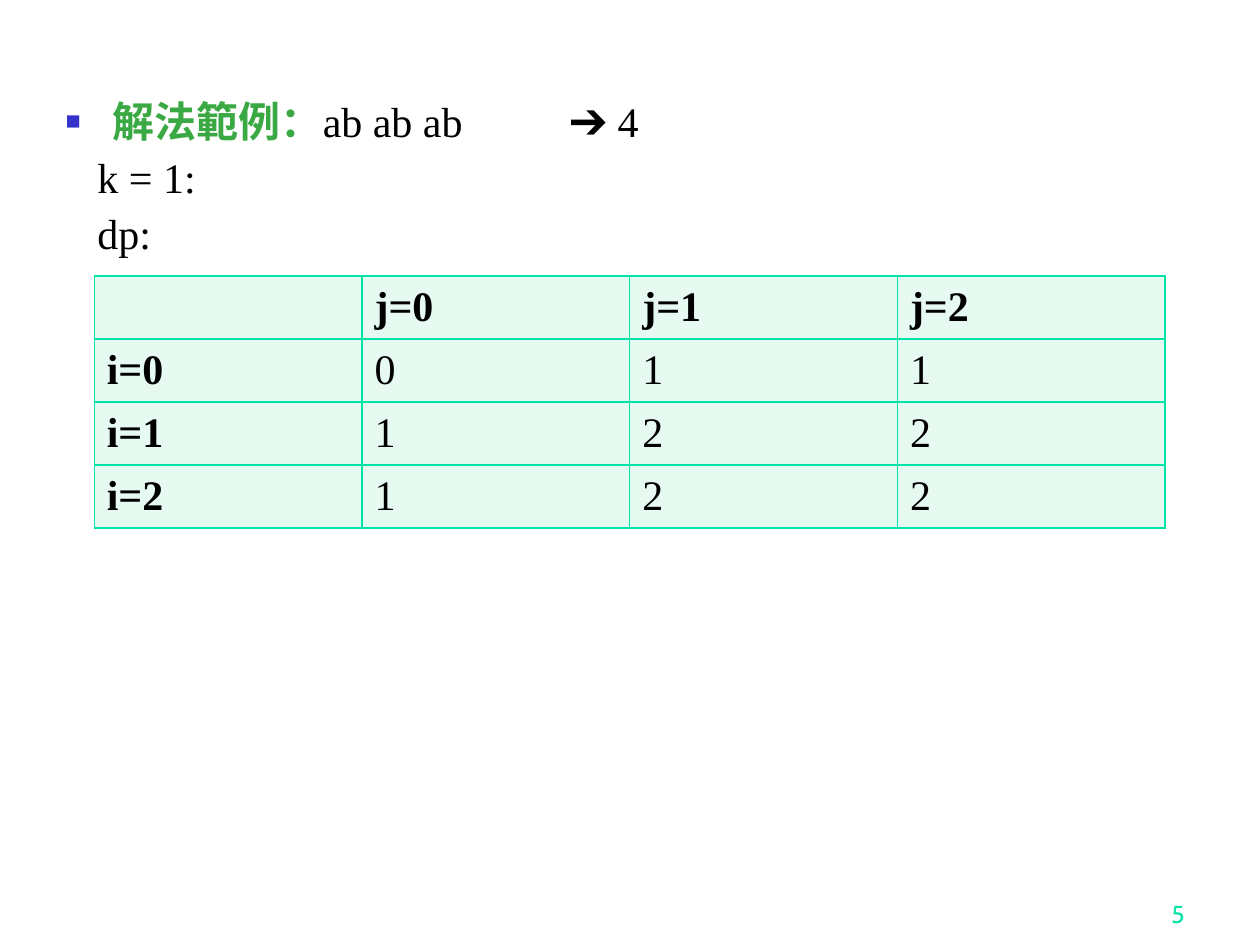
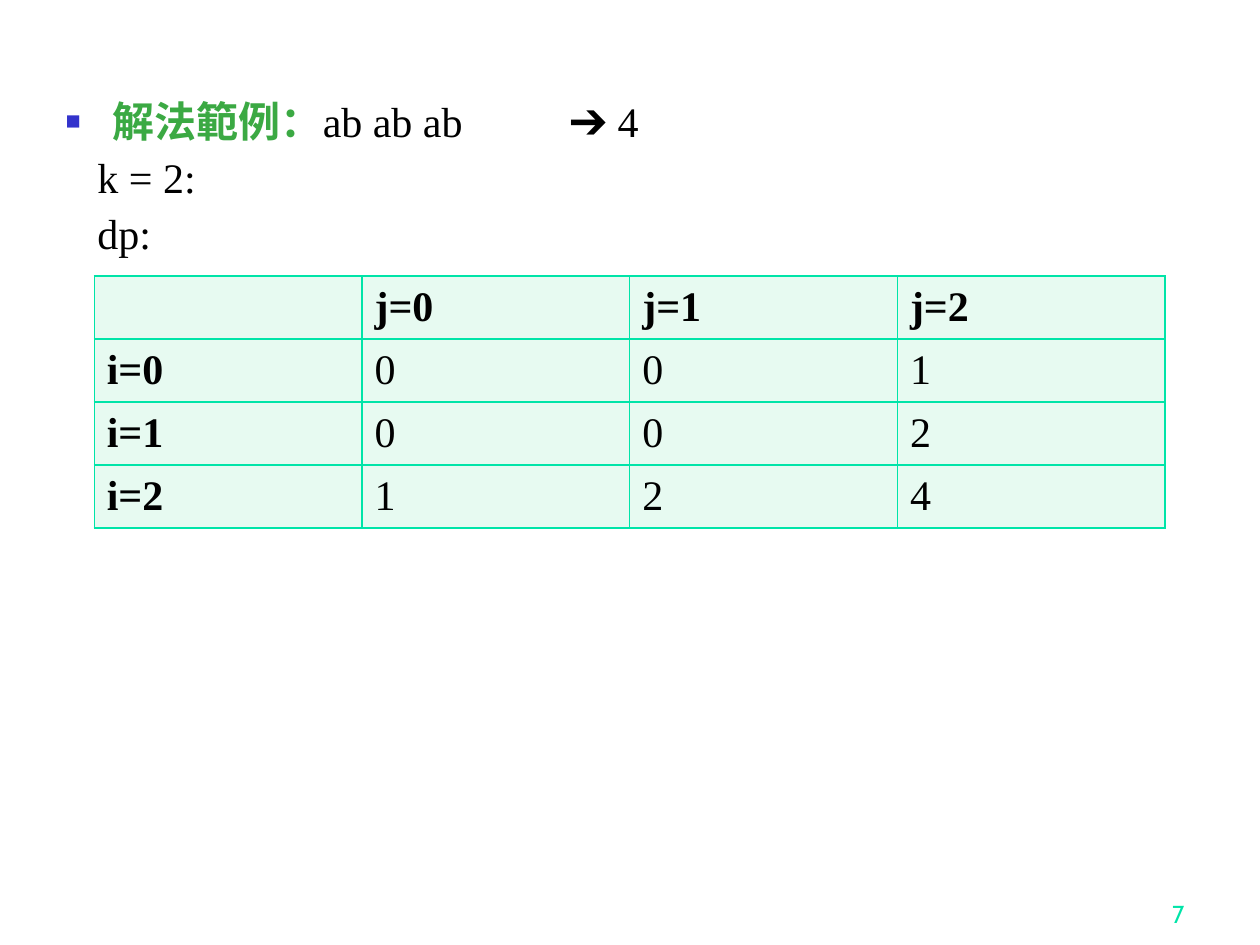
"""Build two slides that show the dp tables of the worked example."""
from dataclasses import dataclass
from typing import Any

from lxml import etree
from pptx import Presentation
from pptx import util as u
from pptx.dml import color as clr
from pptx.enum import text as t
from pptx.oxml import ns

GREEN, MINT, PALE = "3BA943", "00E4A8", "E7FAF1"
BLACK, BLUE = "000000", "3333CC"
SIDES = ("a:lnL", "a:lnR", "a:lnT", "a:lnB")
MAIN = {"name": "Times New Roman", "size": u.Pt(24), "bold": False}
BOLD = MAIN | {"bold": True}
FOOT = {"name": "Cabin", "size": u.Pt(14)}
LINE = {"line_spacing": 0.9, "alignment": t.PP_ALIGN.LEFT}
HANG, STEP = u.Cm(0.95), u.Cm(0.64)
ROW = u.Cm(1.19)


@dataclass
class Box:
    left: float
    top: float
    wide: float
    high: float

    def place(self) -> tuple:
        return tuple(map(u.Cm, (self.left, self.top, self.wide, self.high)))


@dataclass
class Step:
    page: int
    k: int
    grid: list[list[int]]


BODY = Box(1.07, 1.91, 22.43, 15.62)
TABLE = Box(1.9, 5.56, 21.59, 4.76)
PAGE = Box(18.85, 17.58, 5.28, 1.27)
STEPS = [
    Step(5, 1, [[0, 1, 1], [1, 2, 2], [1, 2, 2]]),
    Step(7, 2, [[0, 0, 1], [0, 0, 2], [1, 2, 4]]),
]


def paint(code: str) -> clr.RGBColor:
    return clr.RGBColor.from_string(code)


def style(item: Any, form: dict) -> None:
    for key, value in form.items():
        setattr(item, key, value)


def write(para: Any, words: str, form: dict, hue: str) -> None:
    run = para.add_run()
    run.text = words
    style(run.font, form)
    run.font.color.rgb = paint(hue)


def add(root: Any, tag: str, **attrs: str) -> Any:
    return etree.SubElement(root, ns.qn(tag), attrs)


def mark(para: Any) -> None:
    props = para._p.get_or_add_pPr()
    style_indent(para, HANG, -HANG)
    add(add(props, "a:buClr"), "a:srgbClr", val=BLUE)
    add(props, "a:buSzPct", val="60000")
    add(props, "a:buFont", typeface="Arial")
    add(props, "a:buChar", char="■")
    add(add(props, "a:tabLst"), "a:tab", pos=str(u.Cm(10.16)), algn="l")


def style_indent(para: Any, left: int, first: int) -> None:
    props = para._p.get_or_add_pPr()
    props.set("marL", str(left))
    props.set("indent", str(first))


def fill_body(slide: Any, k: int) -> None:
    body = slide.placeholders[1]
    style(body, dict(zip(("left", "top", "width", "height"), BODY.place())))
    frame = body.text_frame
    frame.auto_size = t.MSO_AUTO_SIZE.NONE
    head = frame.paragraphs[0]
    style(head, LINE | {"space_before": u.Pt(0)})
    mark(head)
    write(head, "解法範例：", BOLD, GREEN)
    write(head, "ab ab ab\t➔ 4", MAIN, BLACK)
    for words in (f"k = {k}:", "dp:"):
        para = frame.add_paragraph()
        style(para, LINE | {"space_before": u.Pt(6)})
        style_indent(para, STEP, 0)
        add(para._p.get_or_add_pPr(), "a:buNone")
        write(para, words, MAIN, BLACK)


def edge(cell: Any) -> None:
    props = cell._tc.get_or_add_tcPr()
    for spot, side in enumerate(SIDES):
        line = etree.Element(ns.qn(side), w=str(u.Pt(1)))
        add(add(line, "a:solidFill"), "a:srgbClr", val=MINT)
        props.insert(spot, line)


def add_grid(slide: Any, grid: list[list[int]]) -> None:
    rows = [["", *(f"j={j}" for j in range(len(grid[0])))]]
    rows += [[f"i={i}", *map(str, row)] for i, row in enumerate(grid)]
    table = slide.shapes.add_table(len(rows), len(rows[0]), *TABLE.place()).table
    style(table, {"first_row": False, "horz_banding": False})
    for i, row in enumerate(rows):
        table.rows[i].height = ROW
        for j, words in enumerate(row):
            cell = table.cell(i, j)
            cell.vertical_anchor = t.MSO_ANCHOR.MIDDLE
            cell.fill.solid()
            cell.fill.fore_color.rgb = paint(PALE)
            edge(cell)
            para = cell.text_frame.paragraphs[0]
            if words:
                write(para, words, MAIN if i and j else BOLD, BLACK)
            else:
                style(para.font, MAIN)


def add_page(slide: Any, page: int) -> None:
    frame = slide.shapes.add_textbox(*PAGE.place()).text_frame
    style(frame, {"word_wrap": True, "vertical_anchor": t.MSO_ANCHOR.BOTTOM})
    para = frame.paragraphs[0]
    para.alignment = t.PP_ALIGN.RIGHT
    write(para, str(page), FOOT, MINT)


def main() -> None:
    deck = Presentation()
    style(deck, {"slide_width": u.Cm(25.4), "slide_height": u.Cm(19.05)})
    for step in STEPS:
        slide = deck.slides.add_slide(deck.slide_layouts[1])
        title = slide.shapes.title.element
        title.getparent().remove(title)
        add_page(slide, step.page)
        fill_body(slide, step.k)
        add_grid(slide, step.grid)
    deck.save("out.pptx")


if __name__ == "__main__":
    main()
